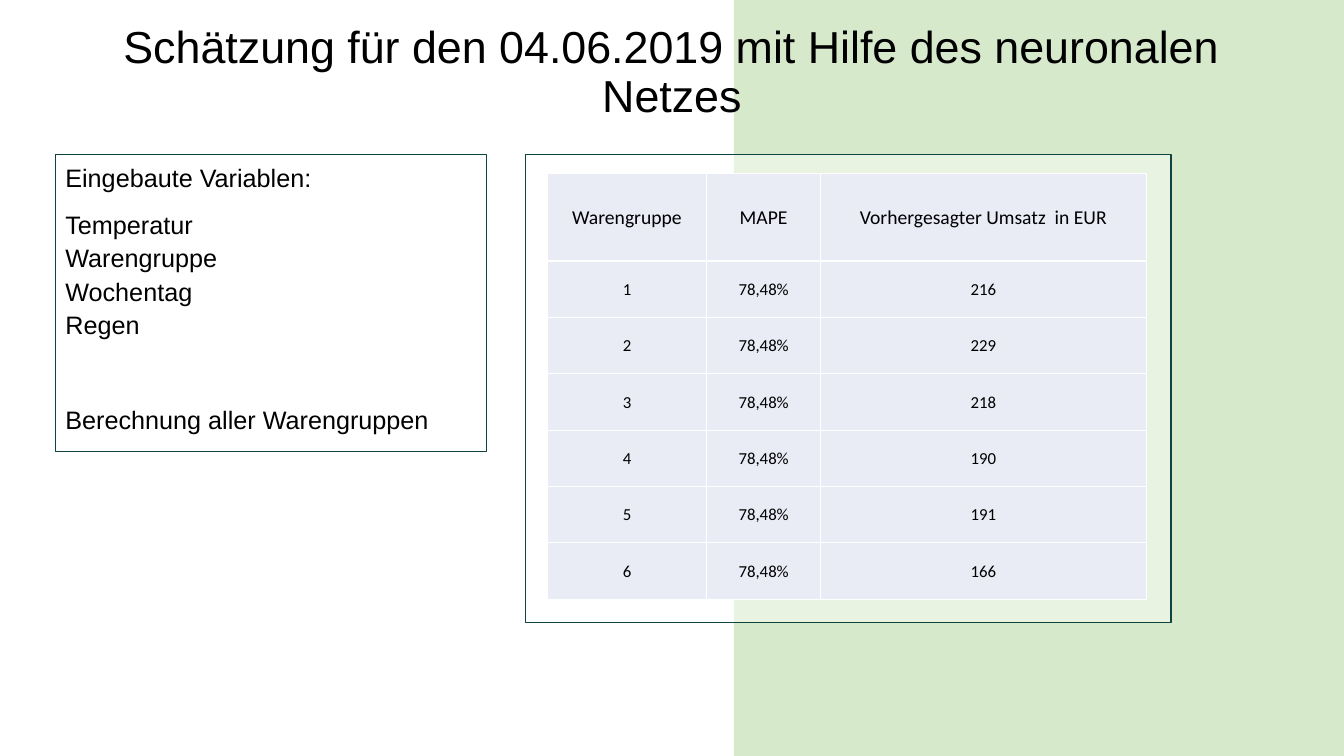
"""Build the slide on the neural network forecast by product group."""
import pptx
import pptx.dml.color
import pptx.enum.shapes
import pptx.enum.text
import pptx.oxml
import pptx.oxml.ns
import pptx.util

Pt = pptx.util.Pt
ALIGN = pptx.enum.text.PP_ALIGN
MIDDLE = pptx.enum.text.MSO_ANCHOR.MIDDLE
COLORS = {"green": "A9D18E", "white": "FFFFFF", "teal": "0E4340",
          "cell": "E9EBF5", "text": "000000"}
HEADS = ["Warengruppe", "MAPE", "Vorhergesagter Umsatz  in EUR"]
SALES = [216, 229, 218, 190, 191, 166]
MAPE = "78,48%"
NOTES = [(["Eingebaute Variablen:"], 0),
         (["Temperatur", "Warengruppe", "Wochentag", "Regen"], 10),
         (["Berechnung aller Warengruppen"], 44)]


def color(name):
    """Return the named colour."""
    return pptx.dml.color.RGBColor.from_string(COLORS[name])


def write(para, text, size, font="Arial"):
    """Add one styled run to a paragraph."""
    run = para.add_run()
    run.text = text
    run.font.size = Pt(size)
    run.font.name = font
    run.font.color.rgb = color("text")


def add_box(slide, box, fill=None, line=None, width=1):
    """Add a rectangle with an optional translucent fill and outline."""
    shape = slide.shapes.add_shape(
        pptx.enum.shapes.MSO_SHAPE.RECTANGLE, *map(Pt, box))
    shape.shadow.inherit = False
    if fill:
        shape.fill.solid()
        shape.fill.fore_color.rgb = color(fill)
        tint = shape.element.find(".//" + pptx.oxml.ns.qn("a:srgbClr"))
        tint.append(pptx.oxml.parse_xml(
            f'<a:alpha {pptx.oxml.ns.nsdecls("a")} val="46000"/>'))
    else:
        shape.fill.background()
    if line:
        shape.line.color.rgb = color(line)
        shape.line.width = Pt(width)
    else:
        shape.line.fill.background()
    return shape


def set_title(slide, text, box):
    """Place and fill the title, in front of the shapes added so far."""
    title = slide.shapes.title
    for shape in list(slide.shapes):
        if shape.shape_id != title.shape_id:
            title.element.addprevious(shape.element)
    title.left, title.top, title.width, title.height = map(Pt, box)
    title.text_frame.vertical_anchor = MIDDLE
    para = title.text_frame.paragraphs[0]
    para.alignment = ALIGN.CENTER
    para.line_spacing = 0.9
    write(para, text, 32)


def add_notes(slide, box):
    """Add the outlined box that lists the variables."""
    frame = add_box(slide, box, line="teal", width=0.75).text_frame
    frame.word_wrap = True
    frame.vertical_anchor = pptx.enum.text.MSO_ANCHOR.TOP
    for index, (lines, gap) in enumerate(NOTES):
        para = frame.add_paragraph() if index else frame.paragraphs[0]
        para.alignment = ALIGN.LEFT
        para.line_spacing = 1.1
        para.space_before = Pt(gap)
        for row, text in enumerate(lines):
            if row:
                para.add_line_break()
            write(para, text, 18)


def set_cell(cell, text, size):
    """Fill, border and label one table cell."""
    props = cell._tc.get_or_add_tcPr()
    for side in "LRTB":
        props.append(pptx.oxml.parse_xml(
            f'<a:ln{side} {pptx.oxml.ns.nsdecls("a")} w="{Pt(1)}"><a:solidFill>'
            f'<a:srgbClr val="{COLORS["white"]}"/></a:solidFill></a:ln{side}>'))
    cell.fill.solid()
    cell.fill.fore_color.rgb = color("cell")
    cell.margin_left = cell.margin_right = cell.margin_top = Pt(0.7)
    cell.margin_bottom = Pt(0)
    cell.vertical_anchor = MIDDLE
    para = cell.text_frame.paragraphs[0]
    para.alignment = ALIGN.CENTER
    write(para, text, size, "Calibri")


def add_grid(slide, left, top, widths, head, body):
    """Add the forecast table."""
    rows = [HEADS] + [[str(group), MAPE, str(value)]
                      for group, value in enumerate(SALES, 1)]
    heights = [head] + [body] * len(SALES)
    table = slide.shapes.add_table(
        len(rows), len(widths), Pt(left), Pt(top),
        Pt(sum(widths)), Pt(sum(heights))).table
    for col, width in zip(table.columns, widths):
        col.width = Pt(width)
    for index, texts in enumerate(rows):
        table.rows[index].height = Pt(heights[index])
        for col, text in enumerate(texts):
            set_cell(table.cell(index, col), text, 12 if index else 14)


def main():
    """Build and save the slide."""
    deck = pptx.Presentation()
    deck.slide_width, deck.slide_height = Pt(960), Pt(540)
    slide = deck.slides.add_slide(deck.slide_layouts[5])
    add_box(slide, (524.2, 0, 435.8, 540), fill="green")
    add_box(slide, (375.6, 110.2, 460.8, 334.6), fill="white", line="teal")
    set_title(slide, "Schätzung für den 04.06.2019 mit Hilfe des neuronalen Netzes",
              (66, 10.8, 828, 83.5))
    add_notes(slide, (39.6, 110.2, 307.6, 212.2))
    add_grid(slide, 391, 123.8, [113.8, 81.4, 232.6], 62.6, 40.3)
    deck.save("out.pptx")


if __name__ == "__main__":
    main()
